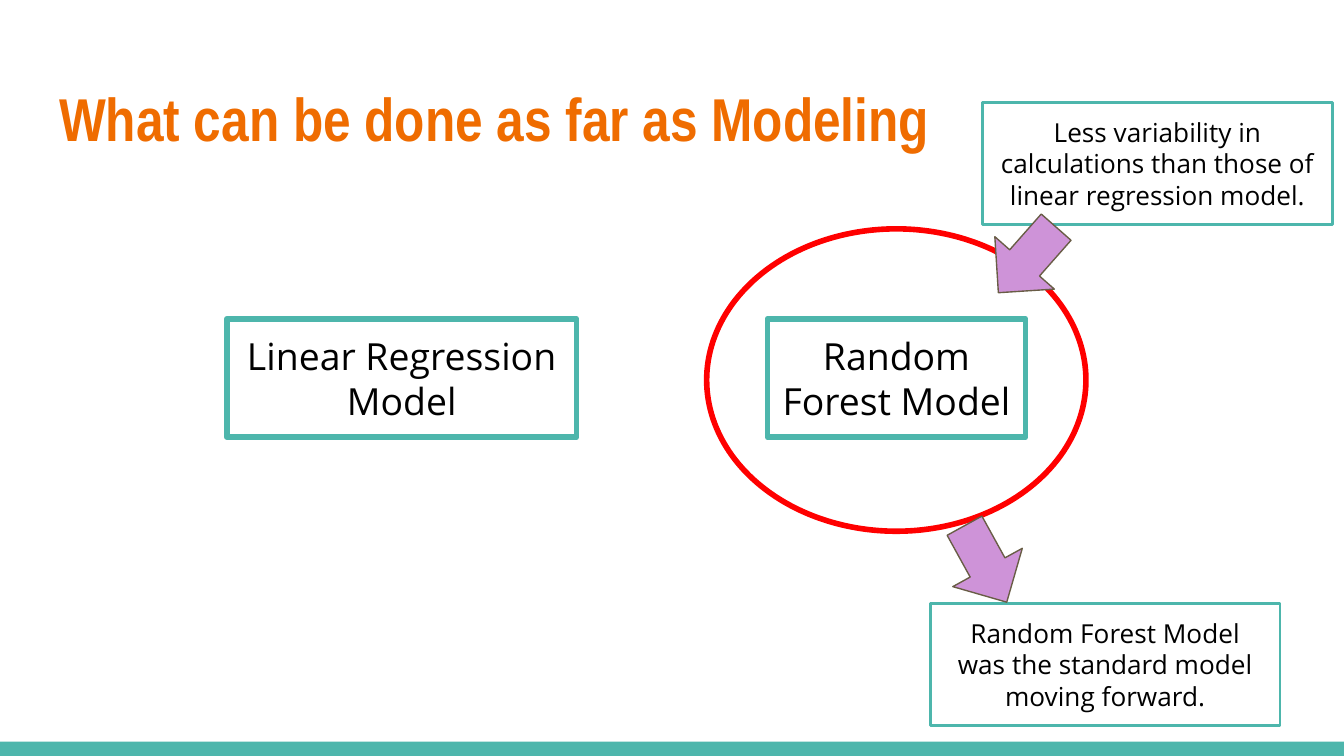
from pptx import Presentation
from pptx.dml.color import RGBColor
from pptx.enum.shapes import MSO_SHAPE as Shape
from pptx.enum.text import MSO_ANCHOR as Anchor, MSO_AUTO_SIZE as AutoSize, PP_ALIGN as Align
from pptx.util import Pt

TEAL = RGBColor(0x4D, 0xB6, 0xAC)
ORANGE = RGBColor(0xEF, 0x6C, 0x00)
RED = RGBColor(0xFF, 0x00, 0x00)
PURPLE = RGBColor(0xCE, 0x93, 0xD8)
BROWN = RGBColor(0x69, 0x5D, 0x46)
BLACK = RGBColor(0x00, 0x00, 0x00)

INSET = 7.2
MODEL = {"size": 20, "line_width": 3}
NOTE = {"size": 14, "line_width": 1.5}


def add_figure(page, kind, place, fill=None, line=None, line_width=0):
    """Add a preset shape without shadow; leave out a fill or line of None."""
    figure = page.shapes.add_shape(kind, *map(Pt, place))
    figure.shadow.inherit = False
    if fill is None:
        figure.fill.background()
    else:
        figure.fill.solid()
        figure.fill.fore_color.rgb = fill
    if line is None:
        figure.line.fill.background()
    else:
        figure.line.color.rgb = line
        figure.line.width = Pt(line_width)
    return figure


def write(box, text, align, color, **font):
    """Put one formatted paragraph into the text frame of a box."""
    frame = box.text_frame
    frame_format = {"word_wrap": True, "vertical_anchor": Anchor.MIDDLE,
                    "auto_size": AutoSize.NONE}
    frame_format.update({f"margin_{side}": Pt(INSET)
                         for side in ("left", "top", "right", "bottom")})
    for name, value in frame_format.items():
        setattr(frame, name, value)
    para = frame.paragraphs[0]
    para.alignment = align
    span = para.add_run()
    span.text = text
    for name, value in font.items():
        setattr(span.font, name, value)
    span.font.color.rgb = color


def add_title(page, text):
    """Move and format the title placeholder."""
    title = page.shapes.title
    place = {"left": 24.5, "top": 35.3, "width": 671, "height": 55.4}
    for name, value in place.items():
        setattr(title, name, Pt(value))
    write(title, text, Align.LEFT, ORANGE, name="Arial Narrow", size=Pt(32.4), bold=True)


def add_label(page, text, place, style):
    """Add a teal outlined box with centred text."""
    box = add_figure(page, Shape.RECTANGLE, place, line=TEAL,
                     line_width=style["line_width"])
    write(box, text, Align.CENTER, BLACK, name="Open Sans", size=Pt(style["size"]))


def add_arrow(page, left, top, angle):
    """Add a purple block arrow turned by an angle in degrees."""
    arrow = add_figure(page, Shape.RIGHT_ARROW, (left, top, 46.8, 42.5),
                       PURPLE, BROWN, 0.75)
    arrow.rotation = angle


def main():
    """Build the slide and save it."""
    deck = Presentation()
    deck.slide_width, deck.slide_height = Pt(720), Pt(405)
    page = deck.slides.add_slide(deck.slide_layouts[5])
    add_figure(page, Shape.RECTANGLE, (0, 397.4, 720, 7.6), TEAL)
    add_title(page, "What can be done as far as Modeling")
    add_label(page, "Linear Regression Model", (121.5, 170.8, 187.4, 63.4), MODEL)
    add_label(page, "Random Forest Model", (411.1, 170.8, 138.4, 63.4), MODEL)
    add_figure(page, Shape.OVAL, (378.6, 122.6, 203.2, 162), line=RED, line_width=3)
    add_label(page, "Less variability in calculations than those of linear regression model.",
              (526.4, 54.8, 187.4, 65.5), NOTE)
    add_arrow(page, 526.9, 118, 131.4)
    add_label(page, "Random Forest Model was the standard model moving forward.",
              (498.4, 323.2, 187.4, 65.5), NOTE)
    add_arrow(page, 504.6, 280.9, 61.1)
    deck.save("out.pptx")


if __name__ == "__main__":
    main()
